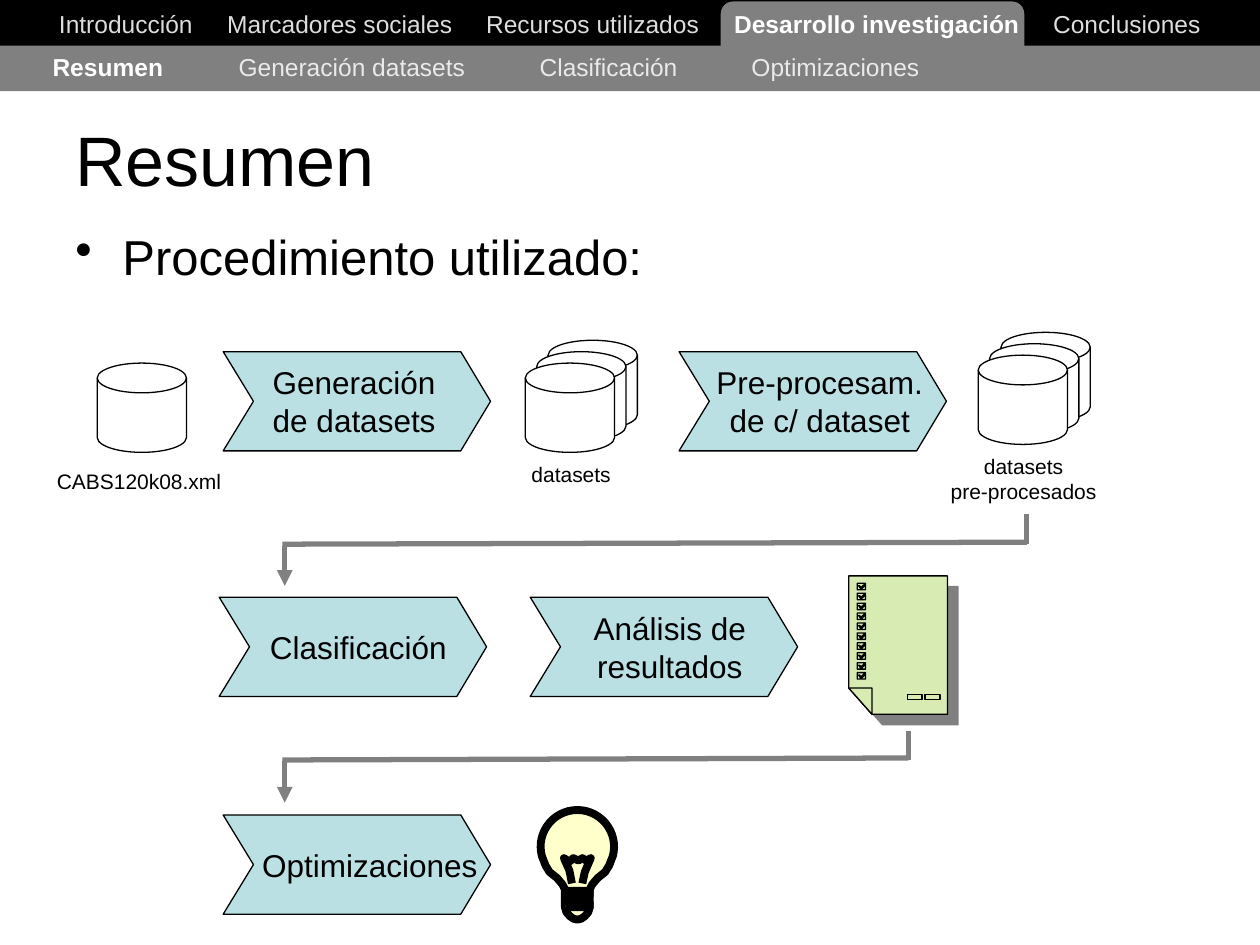
from math import cos, radians, sin

from lxml import etree
from pptx import Presentation
from pptx import util as u
from pptx.dml.color import RGBColor
from pptx.enum import shapes, text
from pptx.oxml.ns import qn

BLACK, WHITE, GREY = "000000", "FFFFFF", "808080"
LEFT, CENTER = text.PP_ALIGN.LEFT, text.PP_ALIGN.CENTER


def paint(shape, fill=None, line=None, width=0.75):
    """Set fill and outline as hex strings; None means no paint."""
    shape.shadow.inherit = False
    for part, color in ((shape.fill, fill), (shape.line.fill, line)):
        if color:
            part.solid()
            part.fore_color.rgb = RGBColor.from_string(color)
        else:
            part.background()
    if line:
        shape.line.width = u.Pt(width)


def write(x, y, w, h, words, size, align=LEFT):
    """Add a text box measured in cm and return its paragraph."""
    frame = slide.shapes.add_textbox(u.Cm(x), u.Cm(y), u.Cm(w), u.Cm(h)).text_frame
    frame.word_wrap = True
    frame.vertical_anchor = text.MSO_ANCHOR.MIDDLE
    paragraph = frame.paragraphs[0]
    paragraph.text = words
    paragraph.alignment = align
    paragraph.font.name = "Arial"
    paragraph.font.size = u.Pt(size)
    paragraph.font.color.rgb = RGBColor.from_string(BLACK)
    return paragraph


prs = Presentation()
prs.slide_width, prs.slide_height = u.Cm(25.4), u.Cm(19.05)
slide = prs.slides.add_slide(prs.slide_layouts[6])

# Navigation bars
for preset, x, y, w, h, color, border in (
    (shapes.MSO_SHAPE.RECTANGLE, 0, 0, 25.4, 0.92, BLACK, BLACK),
    (shapes.MSO_SHAPE.ROUNDED_RECTANGLE, 14.53, 0.03, 6.12, 1.5, GREY, None),
    (shapes.MSO_SHAPE.RECTANGLE, 0, 0.92, 25.4, 0.92, GREY, None),
):
    bar = slide.shapes.add_shape(preset, u.Cm(x), u.Cm(y), u.Cm(w), u.Cm(h))
    paint(bar, color, border)

sections = ["Introducción", "Marcadores sociales", "Recursos utilizados",
            "Desarrollo investigación", "Conclusiones"]
subsections = ["Resumen", "Generación datasets", "Clasificación", "Optimizaciones"]
for x, y, entries, current, stops, color in (
    (0.81, 0.92, subsections, 0, (3.75, 9.82, 14.09), "EAEAEA"),
    (0.94, 0.05, sections, 3, (3.39, 8.61, 13.61, 20.04), "DDDDDD"),
):
    menu = write(x, y, 24.2, 0.86, "", 14)
    tabs = etree.Element(qn("a:tabLst"))
    for stop in stops:
        etree.SubElement(tabs, qn("a:tab"), pos=str(u.Cm(stop)), algn="l")
    menu._p.get_or_add_pPr().insert(0, tabs)
    for i, entry in enumerate(entries):
        run = menu.add_run()
        run.text = entry if i == 0 else "\t" + entry
        run.font.bold = i == current
        run.font.color.rgb = RGBColor.from_string(WHITE if i == current else color)

# Title and bullet
write(1.27, 2.01, 23.62, 2.36, "Resumen", 40)
procedure = write(1.27, 4.45, 22.86, 14.6, "Procedimiento utilizado:", 28)
procedure.space_before = u.Pt(7)
slide.shapes[-1].text_frame.vertical_anchor = text.MSO_ANCHOR.TOP
properties = procedure._p.get_or_add_pPr()
properties.set("marL", str(u.Cm(0.95)))
properties.set("indent", str(-u.Cm(0.95)))
bullet = etree.Element(qn("a:buChar"), char="•")
properties.find(qn("a:spcBef")).addnext(bullet)

# Outlines: (contours in cm, closed, fill, line width)
outlines = []
steps = (
    (4.5, 7.09, 5.11, 4.06, 1.78, "Generación\nde datasets"),
    (13.69, 7.09, 13.92, 5.21, 1.78, "Pre-procesam.\nde c/ dataset"),
    (4.42, 12.04, 4.62, 5.21, 1.02, "Clasificación"),
    (10.69, 12.04, 10.9, 5.21, 1.78, "Análisis de resultados"),
    (4.5, 16.43, 4.85, 5.21, 1.02, "Optimizaciones"),
)
for x, y, *_ in steps:
    chevron = [(x, y), (x + 4.79, y), (x + 5.39, y + 1), (x + 4.79, y + 2),
               (x, y + 2), (x + 0.61, y + 1)]
    outlines.append(([chevron], True, "BBE0E3", 0.75))

axis = 11.64
half = [(0.74 * cos(radians(a)), 17.07 + 0.74 * sin(radians(a))) for a in range(-90, 16, 7)]
half += [(0.69, 17.32), (0.64, 17.45), (0.56, 17.58), (0.41, 17.7), (0.3, 17.83), (0.25, 17.93),
         (0.25, 18.29), (0.22, 18.39), (0.15, 18.47), (0.08, 18.52), (0, 18.54)]
glass = [(axis + dx, y) for dx, y in half] + [(axis - dx, y) for dx, y in half[-2:0:-1]]
filament = [(-0.11, 17.81), (-0.16, 17.55), (-0.25, 17.35), (-0.27, 17.3), (-0.16, 17.37),
            (-0.08, 17.3), (0.02, 17.35), (0.1, 17.3), (0.18, 17.35), (0.27, 17.3),
            (0.15, 17.58), (0.1, 17.81)]
socket = [(-0.25, 17.96), (0.25, 17.96), (0.25, 18.06), (-0.25, 18.06), (-0.25, 18.16),
          (0.25, 18.19), (0.25, 18.29), (-0.23, 18.29)]
inside = [[(axis + dx, y) for dx, y in part] for part in (filament, socket)]
outlines += [([glass], True, "FFFFCC", 4.5), (inside, False, "FFFFCC", 4.5)]

page = [(17.58, 14.4), (17.11, 13.87), (17.11, 11.61), (19.1, 11.61), (19.1, 14.4)]
marks = [[(17.11, 13.87), (17.58, 13.87), (17.58, 14.4)]]
for x in (18.29, 18.65):
    marks.append([(x, 14), (x + 0.3, 14), (x + 0.3, 14.1), (x, 14.1)])
tick = [(0, 0), (0.17, 0), (0.08, 0.08), (0.05, 0.05), (0.03, 0.05), (0.08, 0.12),
        (0.17, 0.03), (0.17, 0.13), (0, 0.13)]
for row in range(10):
    marks.append([(17.28 + dx, 11.76 + 0.2 * row + dy) for dx, dy in tick])
outlines += [([page], True, "D8EBB3", 0.75), (marks, True, "D8EBB3", 0.75)]

for contours, closed, fill, width in outlines:
    contours = [[(u.Cm(x), u.Cm(y)) for x, y in contour] for contour in contours]
    builder = slide.shapes.build_freeform(*contours[0][0])
    for contour in contours:
        if contour is not contours[0]:
            builder.move_to(*contour[0])
        builder.add_line_segments(contour[1:], close=closed)
    outline = builder.convert_to_shape()
    paint(outline, fill, BLACK, width)
    if contours[0][0] == (u.Cm(page[0][0]), u.Cm(page[0][1])):
        effects = outline._element.spPr.find(qn("a:effectLst"))
        shadow = etree.SubElement(effects, qn("a:outerShdw"), dist=str(u.Pt(8.5)),
                                  dir="2700000", algn="ctr", rotWithShape="0")
        etree.SubElement(shadow, qn("a:srgbClr"), val=GREY)

for x, y, label_x, label_width, label_height, step in steps:
    write(label_x, y + 1 - label_height / 2, label_width, label_height, step, 18, CENTER)

# Data stores: front disk, number of disks, caption
for x, y, count, fill, caption_x, caption_y, caption_height, caption in (
    (1.96, 7.32, 1, None, 0.71, 9.32, 0.76, "CABS120k08.xml"),
    (10.59, 7.32, 3, WHITE, 9.42, 9.17, 0.76, "datasets"),
    (19.72, 7.16, 3, WHITE, 18.54, 9.02, 1.27, "datasets\npre-procesados"),
):
    for depth in reversed(range(count)):
        disk = slide.shapes.add_shape(
            shapes.MSO_SHAPE.FLOWCHART_MAGNETIC_DISK, u.Cm(x + 0.23 * depth),
            u.Cm(y - 0.23 * depth), u.Cm(1.8), u.Cm(1.8))
        paint(disk, fill, BLACK)
    write(caption_x, caption_y, 4.19, caption_height, caption, 12, CENTER)

# Return arrows to the next row
for start_x, start_y, turn_y, end_y in ((20.7, 10.36, 10.97, 11.81), (18.31, 14.73, 15.32, 16.18)):
    for ends in ((5.69, turn_y, start_x, turn_y - 0.04),
                 (start_x, turn_y, start_x, start_y),
                 (5.74, turn_y + 0.03, 5.74, end_y)):
        segment = slide.shapes.add_connector(
            shapes.MSO_CONNECTOR.STRAIGHT, *(u.Cm(v) for v in ends))
        segment.line.color.rgb = RGBColor.from_string(GREY)
        segment.line.width = u.Pt(3)
        etree.SubElement(segment._element.spPr, qn("a:effectLst"))
    etree.SubElement(segment.line._get_or_add_ln(), qn("a:tailEnd"), type="triangle")

prs.save("out.pptx")
